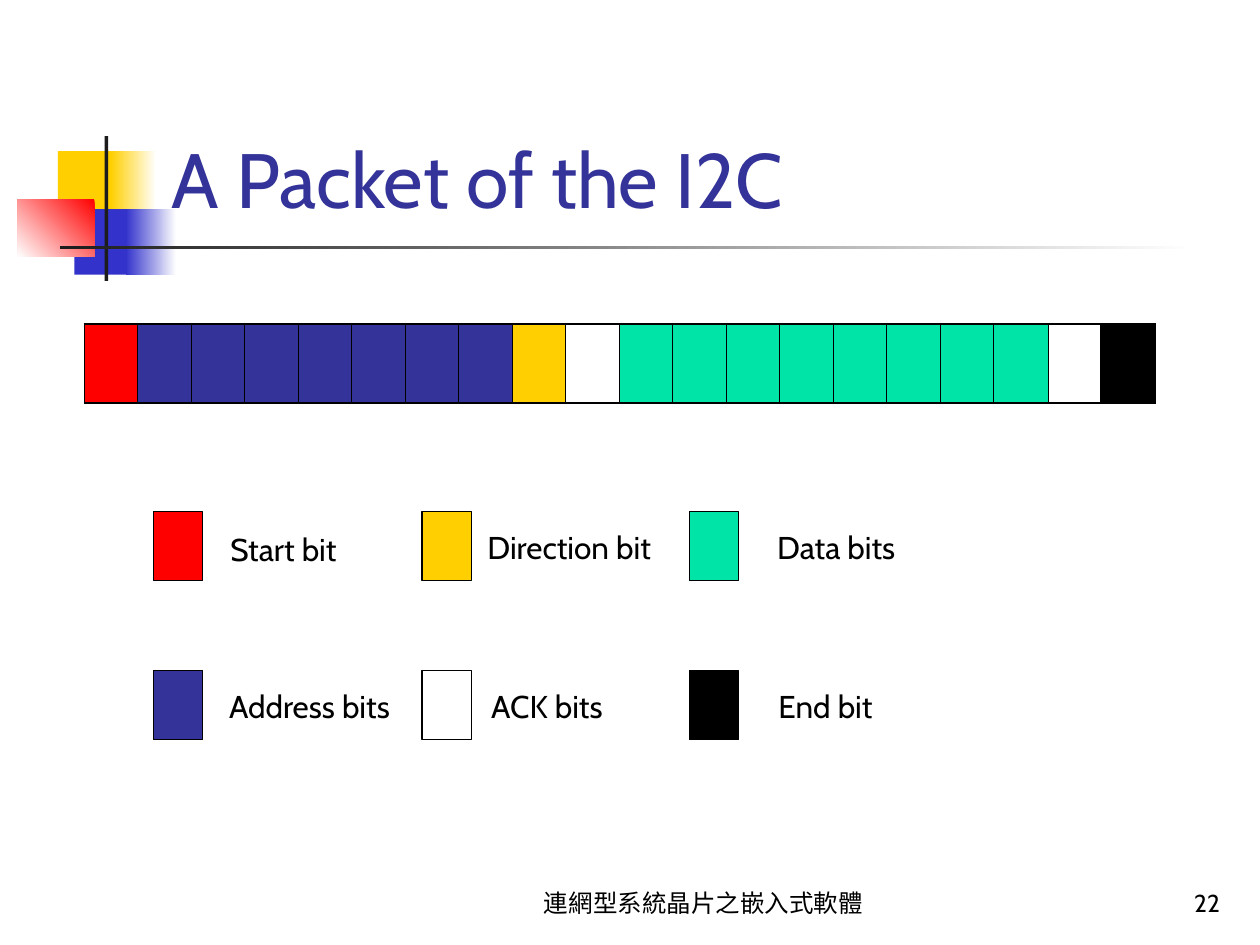
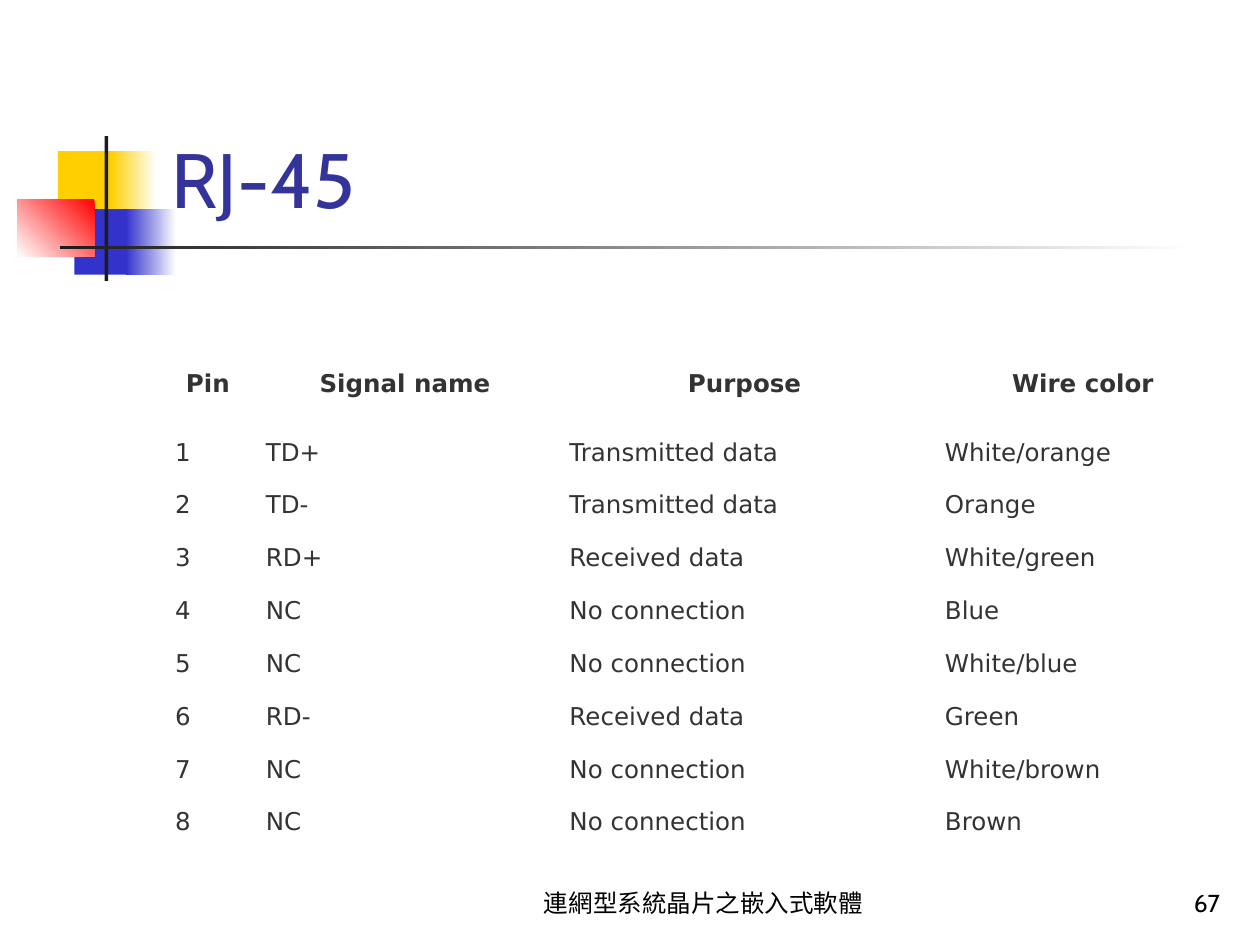
import pptx
import pptx.dml.color
import pptx.enum.dml
import pptx.enum.shapes
import pptx.enum.text
import pptx.oxml
import pptx.oxml.ns
import pptx.util

RGBColor = pptx.dml.color.RGBColor
ALIGN = pptx.enum.text.PP_ALIGN
ANCHOR = pptx.enum.text.MSO_ANCHOR
AUTO_SIZE = pptx.enum.text.MSO_AUTO_SIZE
Pt = pptx.util.Pt
qn = pptx.oxml.ns.qn

BLACK = RGBColor(0x00, 0x00, 0x00)
WHITE = RGBColor(0xFF, 0xFF, 0xFF)
NAVY = RGBColor(0x33, 0x33, 0x99)
BLUE = RGBColor(0x33, 0x33, 0xCC)
RED = RGBColor(0xFF, 0x00, 0x00)
YELLOW = RGBColor(0xFF, 0xCF, 0x01)
GREEN = RGBColor(0x00, 0xE4, 0xA8)
CHARCOAL = RGBColor(0x1C, 0x1C, 0x1C)
GRAY = RGBColor(0x33, 0x33, 0x33)

EMU_PER_PX = 9144  # 100 px to the inch
FONT = "Cabin"
TABLE_FONT = "DejaVu Sans"
FOOTER = "連網型系統晶片之嵌入式軟體"
PLAIN_TABLE = "{2D5ABB26-0587-4C30-8999-92F81FD0307C}"
THIN, THICK = 0.45, 1.08

# Box, colour stops (one for a plain fill), clockwise gradient angle
DECORATION = [
    ((46, 120, 48, 52), [YELLOW], 0),
    ((88, 120, 36, 52), [WHITE, YELLOW], 180),
    ((59, 166, 46, 52), [BLUE], 0),
    ((100, 166, 40, 52), [WHITE, BLUE], 180),
    ((14, 158, 61, 46), [RED, WHITE], 135),
    ((83, 108, 3, 115), [CHARCOAL], 0),
    ((48, 195, 900, 3), [WHITE, CHARCOAL], 180),
]

PACKET_BITS = ([RED] + [NAVY] * 7 + [YELLOW, None] + [GREEN] * 8
               + [None, BLACK])

LEGEND_X, LEGEND_Y = (122, 335, 547), (406, 532)
# Label, colour, column, row, label box
LEGEND = [
    ("Start bit", RED, 0, 0, (173, 416, 113, 40)),
    ("Direction bit", YELLOW, 1, 0, (377, 414, 164, 40)),
    ("Data bits", GREEN, 2, 0, (607, 414, 124, 40)),
    ("Address bits", NAVY, 0, 1, (172, 540, 164, 40)),
    ("ACK bits", WHITE, 1, 1, (380, 540, 116, 40)),
    ("End bit", BLACK, 2, 1, (608, 540, 102, 40)),
]

PIN_HEADER = ("Pin", "Signal name", "Purpose", "Wire color")
PINS = [
    ("TD+", "Transmitted data", "White/orange"),
    ("TD-", "Transmitted data", "Orange"),
    ("RD+", "Received data", "White/green"),
    ("NC", "No connection", "Blue"),
    ("NC", "No connection", "White/blue"),
    ("RD-", "Received data", "Green"),
    ("NC", "No connection", "White/brown"),
    ("NC", "No connection", "Brown"),
]


def px(n):
    return pptx.util.Emu(n * EMU_PER_PX)


def split(total, n):
    """Divide a length into n whole parts that differ by one px at most."""
    return [total * (i + 1) // n - total * i // n for i in range(n)]


def write(tf, text, size=14, font=FONT, color=BLACK, bold=False,
          align=ALIGN.LEFT, hanging=0):
    p = tf.paragraphs[0]
    p.alignment = align
    if hanging:
        pPr = p._p.get_or_add_pPr()
        pPr.set("marL", str(px(hanging)))
        pPr.set("indent", str(px(-hanging)))
    r = p.add_run()
    r.text = text
    r.font.size = Pt(size)
    r.font.name = font
    r.font.bold = bold
    r.font.color.rgb = color


def set_borders(cell, **widths):
    """Draw black cell sides, given as L, R, T, B in points, before any fill."""
    tcPr = cell._tc.get_or_add_tcPr()
    for side, width in widths.items():
        tcPr.append(pptx.oxml.parse_xml(
            f'<a:ln{side} {pptx.oxml.ns.nsdecls("a")} w="{Pt(width)}">'
            f'<a:solidFill><a:srgbClr val="{BLACK}"/></a:solidFill>'
            f'</a:ln{side}>'))


def fill_cell(cell, color):
    if color is None:
        cell.fill.background()
    else:
        cell.fill.solid()
        cell.fill.fore_color.rgb = color


class Deck:
    def __init__(self):
        self.prs = pptx.Presentation()
        self.prs.slide_width, self.prs.slide_height = px(1000), px(750)
        self.layout = self.prs.slide_layouts.get_by_name("Title Only")
        self.slide = None

    def start(self, title, number):
        first = self.slide is None
        self.slide = self.prs.slides.add_slide(self.layout)
        if first:
            self.decorate_layout()
        sp = self.slide.shapes.title
        sp.left, sp.top, sp.width, sp.height = map(px, (126, 23, 852, 160))
        tf = sp.text_frame
        tf.auto_size = AUTO_SIZE.NONE
        tf.word_wrap = True
        tf.vertical_anchor = ANCHOR.BOTTOM
        write(tf, title, size=44, color=NAVY)
        self.footer(FOOTER, (400, 683, 317, 50), ALIGN.CENTER)
        self.footer(str(number), (770, 683, 208, 50), ALIGN.RIGHT)

    def decorate_layout(self):
        """Draw the title ornament and move it to the shared layout."""
        for i, (box, colors, angle) in enumerate(DECORATION):
            sp = self.rect(box, colors, angle)
            sp._element.nvSpPr.cNvPr.set("id", str(20 + i))
            self.layout.shapes._spTree.append(sp._element)

    def rect(self, box, colors, angle=0, line=None):
        sp = self.slide.shapes.add_shape(
            pptx.enum.shapes.MSO_SHAPE.RECTANGLE, *map(px, box))
        sp.shadow.inherit = False
        if len(colors) == 1:
            sp.fill.solid()
            sp.fill.fore_color.rgb = colors[0]
        else:
            sp.fill.gradient()
            sp.fill.gradient_angle = 360 - angle
            for stop, color in zip(sp.fill.gradient_stops, colors):
                stop.color.rgb = color
        if line is None:
            sp.line.fill.background()
        else:
            sp.line.color.rgb = line
            sp.line.width = Pt(0.75)
        return sp

    def textbox(self, box):
        return self.slide.shapes.add_textbox(*map(px, box)).text_frame

    def label(self, text, box):
        tf = self.textbox(box)
        tf.word_wrap = False
        tf.auto_size = AUTO_SIZE.SHAPE_TO_FIT_TEXT
        write(tf, text, size=18)

    def footer(self, text, box, align):
        tf = self.textbox(box)
        tf.word_wrap = True
        tf.vertical_anchor = ANCHOR.BOTTOM
        write(tf, text, align=align)

    def table(self, left, top, widths, heights):
        box = (left, top, sum(widths), sum(heights))
        table = self.slide.shapes.add_table(
            len(heights), len(widths), *map(px, box)).table
        table.first_row = table.horz_banding = False
        table._tbl.tblPr.find(qn("a:tableStyleId")).text = PLAIN_TABLE
        for column, width in zip(table.columns, widths):
            column.width = px(width)
        for row, height in zip(table.rows, heights):
            row.height = px(height)
        return table


def packet_slide(deck):
    deck.start("A Packet of the I2C", 22)
    last = len(PACKET_BITS) - 1
    table = deck.table(67, 257, split(850, last + 1), [63])
    for i, color in enumerate(PACKET_BITS):
        cell = table.cell(0, i)
        set_borders(cell, L=THIN if i else THICK,
                    R=THIN if i < last else THICK, T=THICK, B=THICK)
        fill_cell(cell, color)
    for text, color, col, row, box in LEGEND:
        deck.rect((LEGEND_X[col], LEGEND_Y[row], 39, 55), [color], line=BLACK)
        deck.label(text, box)


def connector_slide(deck):
    deck.start("RJ-45", 67)
    table = deck.table(129, 221, [72, 241, 298, 239],
                       [50, 68] + split(335, len(PINS)))
    for cell in table.iter_cells():
        fill_cell(cell, None)
    table.cell(0, 0).merge(table.cell(0, 3))
    rows = [PIN_HEADER] + [(str(n), *pin) for n, pin in enumerate(PINS, 1)]
    for i, row in enumerate(rows):
        header = i == 0
        for j, text in enumerate(row):
            cell = table.cell(i + 1, j)
            cell.vertical_anchor = ANCHOR.MIDDLE
            write(cell.text_frame, text, font=TABLE_FONT, color=GRAY,
                  bold=header, hanging=38,
                  align=ALIGN.CENTER if header else ALIGN.LEFT)


def main():
    deck = Deck()
    packet_slide(deck)
    connector_slide(deck)
    deck.prs.save("out.pptx")


if __name__ == "__main__":
    main()
